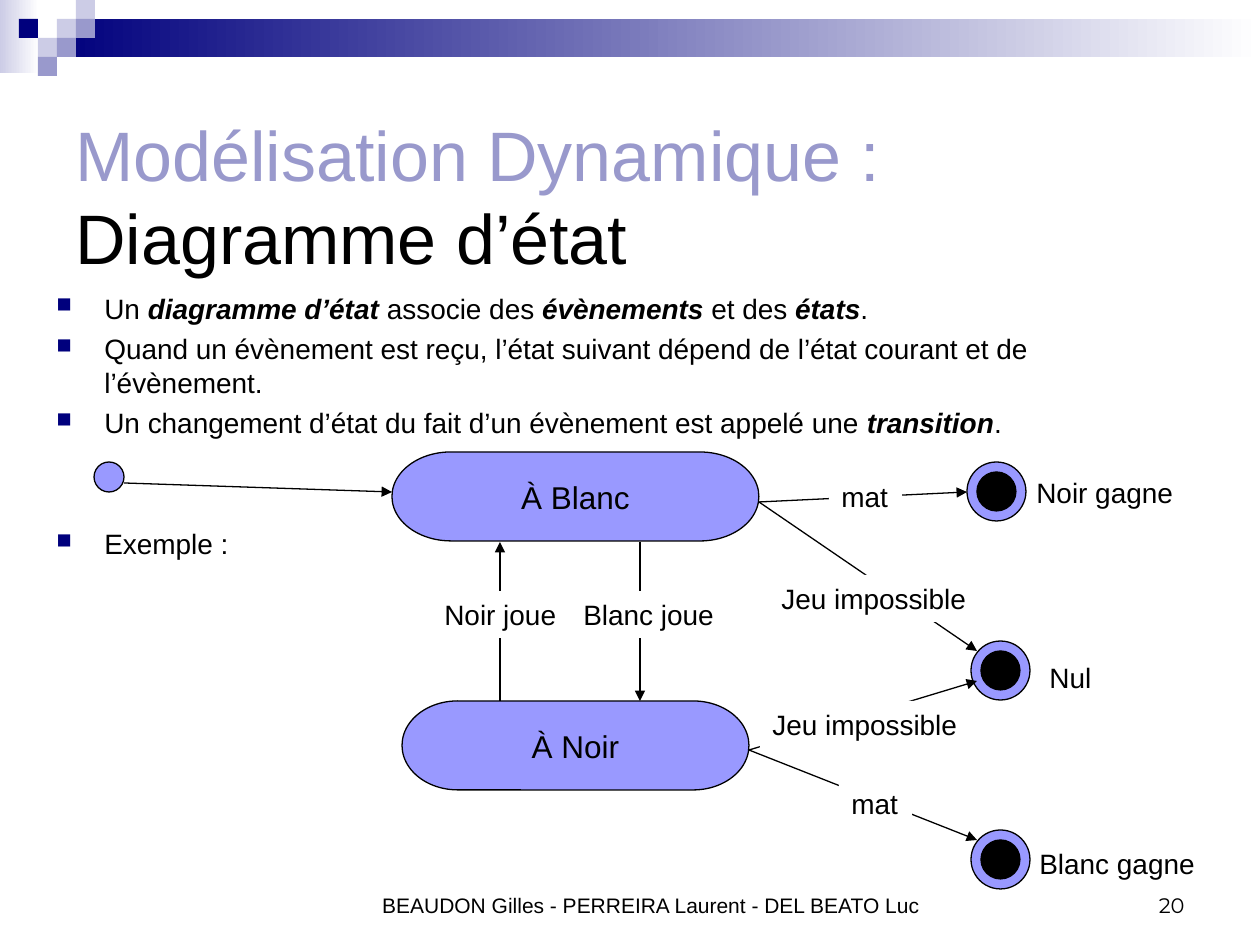
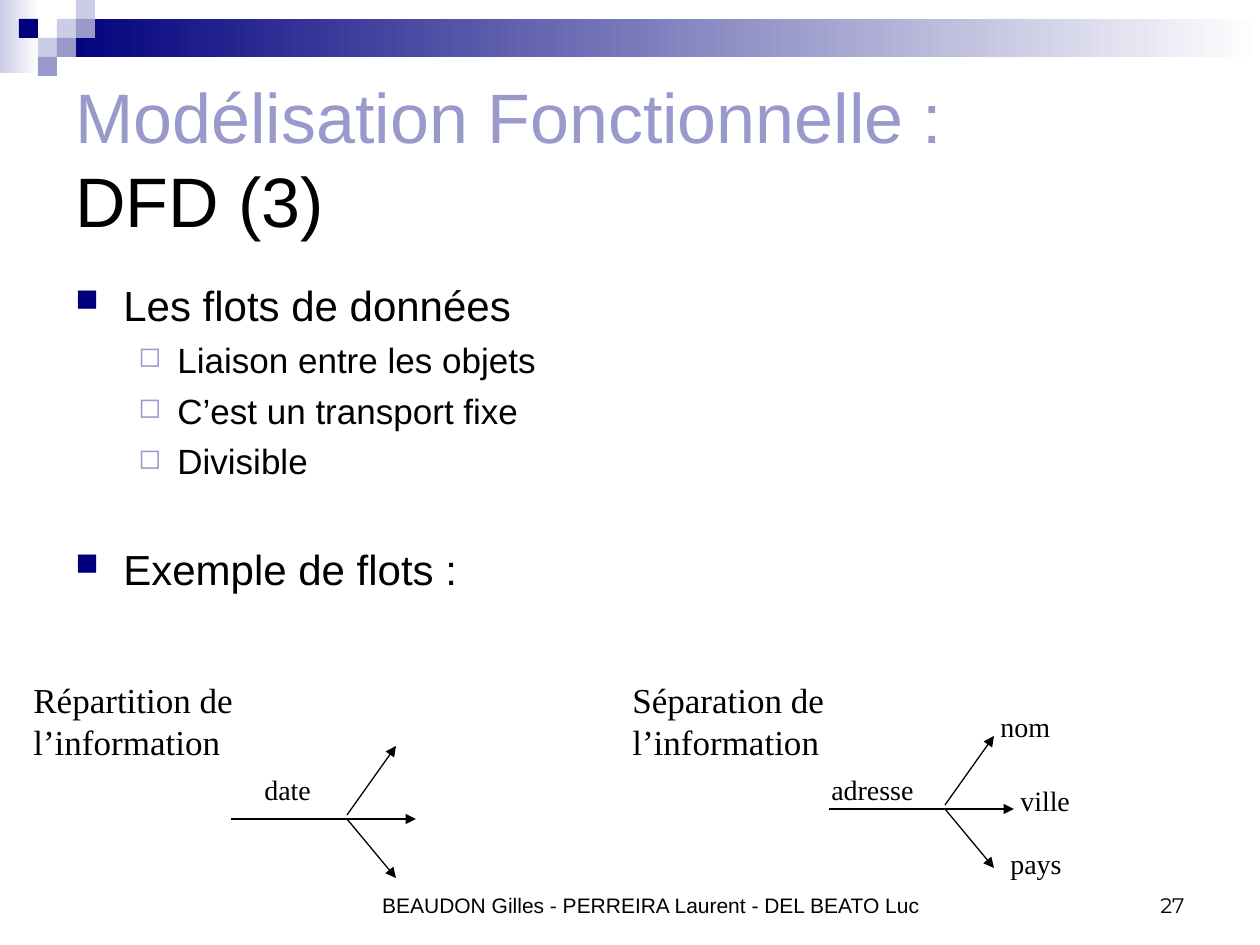
from lxml.etree import SubElement
from pptx import Presentation
from pptx.dml.color import RGBColor
from pptx.enum.shapes import MSO_CONNECTOR, MSO_SHAPE
from pptx.enum.text import MSO_ANCHOR, MSO_AUTO_SIZE, PP_ALIGN
from pptx.oxml.ns import qn
from pptx.util import Emu, Pt

COLORS = {
    "black": "000000",
    "white": "FFFFFF",
    "navy": "00007D",
    "lavender": "9999CC",
    "pale": "CCCCE6",
    "state": "9999FF",
}
SANS, SERIF, NUMBER = "Arial", "Times New Roman", "Montserrat"
TILE = 19
RING, CORE = 59, 39
LABEL_HEIGHT = 47
BULLETS = [
    {"char": "■", "color": "navy", "size": 75, "left": 48, "hang": 48},
    {"char": "◻", "color": "lavender", "size": 80, "left": 102, "hang": 39},
]
AUTHORS = "BEAUDON Gilles - PERREIRA Laurent - DEL BEATO Luc"


def px(length):
    return Emu(round(length * 914400 / 126))


def color(name):
    return RGBColor.from_string(COLORS[name])


def add_span(para, text, size, font=SANS, tint="black", strong=False):
    span = para.add_run()
    span.text = text
    span.font.size = Pt(size)
    span.font.name = font
    span.font.color.rgb = color(tint)
    if strong:
        span.font.bold = span.font.italic = True


def add_box(page, left, top, width, height, anchor=MSO_ANCHOR.TOP):
    box = page.shapes.add_textbox(px(left), px(top), px(width), px(height))
    box.text_frame.word_wrap = True
    box.text_frame.vertical_anchor = anchor
    return box


def add_figure(page, kind, left, top, width, height, fill=None, outlined=False):
    figure = page.shapes.add_shape(kind, px(left), px(top), px(width), px(height))
    figure.shadow.inherit = False
    if fill:
        figure.fill.solid()
        figure.fill.fore_color.rgb = color(fill)
    if outlined:
        figure.line.color.rgb = color("black")
        figure.line.width = Pt(0.75)
    else:
        figure.line.fill.background()
    return figure


def add_fade(page, left, top, width, height, tint):
    figure = add_figure(page, MSO_SHAPE.RECTANGLE, left, top, width, height)
    figure.fill.gradient()
    figure.fill.gradient_angle = 180
    for stop, name, position in zip(figure.fill.gradient_stops, ("white", tint), (0, 1)):
        stop.color.rgb = color(name)
        stop.position = position


def add_header(page):
    add_fade(page, 0, 0, 39, 73, "pale")
    add_fade(page, 3 * TILE, TILE, 1260 - 3 * TILE, 2 * TILE, "navy")
    tiles = [
        (3, 1, "pale"), (4, 0, "pale"), (4, 1, "lavender"), (2, 2, "pale"),
        (1, 1, "navy"), (3, 2, "lavender"), (2, 3, "lavender"),
    ]
    for column, row, fill in tiles:
        add_figure(page, MSO_SHAPE.RECTANGLE, column * TILE, row * TILE, TILE, TILE, fill)


def add_title(page, top, height, theme, subject):
    box = add_box(page, 63, top, 1134, height, MSO_ANCHOR.MIDDLE)
    para = box.text_frame.paragraphs[0]
    add_span(para, theme, 40, tint="lavender")
    para.add_line_break()
    add_span(para, subject, 40)


def add_footer(page, number):
    notes = [
        (252, 798, AUTHORS, SANS, PP_ALIGN.CENTER),
        (1071, 126, number, NUMBER, PP_ALIGN.RIGHT),
    ]
    for left, width, text, font, align in notes:
        box = add_box(page, left, 861, width, 63, MSO_ANCHOR.BOTTOM)
        para = box.text_frame.paragraphs[0]
        para.alignment = align
        add_span(para, text, 12, font)


def set_bullet(para, level):
    bullet = BULLETS[level]
    para.level = level
    properties = para._p.get_or_add_pPr()
    properties.set("marL", str(px(bullet["left"])))
    properties.set("indent", str(-px(bullet["hang"])))
    tint = SubElement(properties, qn("a:buClr"))
    SubElement(tint, qn("a:srgbClr"), val=COLORS[bullet["color"]])
    SubElement(properties, qn("a:buSzPct"), val=str(bullet["size"] * 1000))
    SubElement(properties, qn("a:buChar"), char=bullet["char"])


def add_bullets(page, left, top, height, items):
    frame = add_box(page, left, top, 1134, height).text_frame
    for index, (level, size, gap, texts) in enumerate(items):
        para = frame.add_paragraph() if index else frame.paragraphs[0]
        set_bullet(para, level)
        if index:
            para.space_before = Pt(gap)
        for position, text in enumerate(texts):
            add_span(para, text, size, strong=position % 2 == 1)


def add_label(page, left, top, width, *lines, height=LABEL_HEIGHT, size=16, font=SANS, fill=None):
    box = add_box(page, left, top, width, height)
    frame = box.text_frame
    frame.word_wrap = False
    frame.auto_size = MSO_AUTO_SIZE.NONE
    if fill:
        box.fill.solid()
        box.fill.fore_color.rgb = color(fill)
    for index, line in enumerate(lines):
        para = frame.add_paragraph() if index else frame.paragraphs[0]
        para.alignment = PP_ALIGN.LEFT
        add_span(para, line, size, font)


def add_line(page, start, end, arrow=True):
    line = page.shapes.add_connector(
        MSO_CONNECTOR.STRAIGHT, px(start[0]), px(start[1]), px(end[0]), px(end[1]))
    line.line.color.rgb = color("black")
    line.line.width = Pt(0.75)
    if arrow:
        SubElement(line.line._get_or_add_ln(), qn("a:tailEnd"), type="triangle")
    SubElement(line._element.spPr, qn("a:effectLst"))


def add_state(page, left, top, width, name):
    state = add_figure(page, MSO_SHAPE.FLOWCHART_TERMINATOR, left, top, width, 89, "state", True)
    frame = state.text_frame
    frame.word_wrap = False
    frame.vertical_anchor = MSO_ANCHOR.MIDDLE
    frame.paragraphs[0].alignment = PP_ALIGN.CENTER
    add_span(frame.paragraphs[0], name, 18)


def add_final_state(page, left, top):
    inset = (RING - CORE) // 2
    add_figure(page, MSO_SHAPE.OVAL, left, top, RING, RING, "state", True)
    add_figure(page, MSO_SHAPE.OVAL, left + inset, top + inset, CORE, CORE, "black", True)


def add_flow_split(page, left, middle):
    fork = left + 116
    add_line(page, (left, middle), (fork + 3, middle), arrow=False)
    add_line(page, (fork, middle - 4), (fork + 49, middle - 73))
    add_line(page, (fork, middle), (fork + 69, middle))
    add_line(page, (fork, middle), (fork + 49, middle + 59))


def build_state_diagram(page):
    add_header(page)
    add_title(page, 116, 158, "Modélisation Dynamique :", "Diagramme d’état")
    add_bullets(page, 44, 285, 535, [
        (0, 16, 4, ["Un ", "diagramme d’état", " associe des ", "évènements", " et des ", "états", "."]),
        (0, 16, 4, ["Quand un évènement est reçu, l’état suivant dépend de l’état courant et de l’évènement."]),
        (0, 16, 4, ["Un changement d’état du fait d’un évènement est appelé une ", "transition", "."]),
        (0, 16, 50, ["Exemple :"]),
    ])
    add_figure(page, MSO_SHAPE.OVAL, 94, 462, 30, 30, "state", True)
    add_state(page, 392, 452, 367, "À Blanc")
    add_state(page, 402, 701, 347, "À Noir")
    for left, top in [(967, 462), (971, 641), (971, 830)]:
        add_final_state(page, left, top)

    white_exit, black_exit = (759, 502), (749, 750)
    transitions = [
        ((124, 483), (392, 492)),
        (white_exit, (967, 492)),
        (white_exit, (977, 651)),
        (black_exit, (977, 681)),
        (black_exit, (977, 840)),
        ((500, 701), (500, 542)),
        ((640, 542), (640, 701)),
    ]
    for start, end in transitions:
        add_line(page, start, end)

    events = [
        (829, 473, 73, "mat"),
        (769, 575, 212, "Jeu impossible"),
        (760, 701, 212, "Jeu impossible"),
        (432, 591, 138, "Noir joue"),
        (571, 591, 157, "Blanc joue"),
        (839, 780, 73, "mat"),
    ]
    for left, top, width, name in events:
        add_label(page, left, top, width, name, fill="white")
    outcomes = [
        (1024, 469, 164, "Noir gagne"),
        (1027, 840, 183, "Blanc gagne"),
        (1037, 654, 69, "Nul"),
    ]
    for left, top, width, name in outcomes:
        add_label(page, left, top, width, name)
    add_footer(page, "20")


def build_data_flows(page):
    add_header(page)
    add_title(page, 63, 189, "Modélisation Fonctionnelle :", "DFD (3)")
    add_bullets(page, 63, 273, 636, [
        (0, 24, 6, ["Les flots de données"]),
        (1, 20, 5, ["Liaison entre les objets"]),
        (1, 20, 5, ["C’est un transport fixe"]),
        (1, 20, 5, ["Divisible"]),
        (0, 24, 35, ["Exemple de flots :"]),
    ])
    for left, middle in [(231, 819), (829, 809)]:
        add_flow_split(page, left, middle)
    for left, width, word in [(21, 235, "Répartition de"), (620, 228, "Séparation de")]:
        add_label(page, left, 672, width, word, "l’information", height=97, size=20, font=SERIF)
    flows = [
        (252, 766, 74, "date"),
        (819, 766, 109, "adresse"),
        (988, 703, 78, "nom"),
        (1008, 777, 78, "ville"),
        (998, 840, 78, "pays"),
    ]
    for left, top, width, name in flows:
        add_label(page, left, top, width, name, font=SERIF)
    add_footer(page, "27")


def main():
    deck = Presentation()
    deck.slide_width, deck.slide_height = px(1260), px(945)
    for build in (build_state_diagram, build_data_flows):
        build(deck.slides.add_slide(deck.slide_layouts[6]))
    deck.save("out.pptx")


if __name__ == "__main__":
    main()
